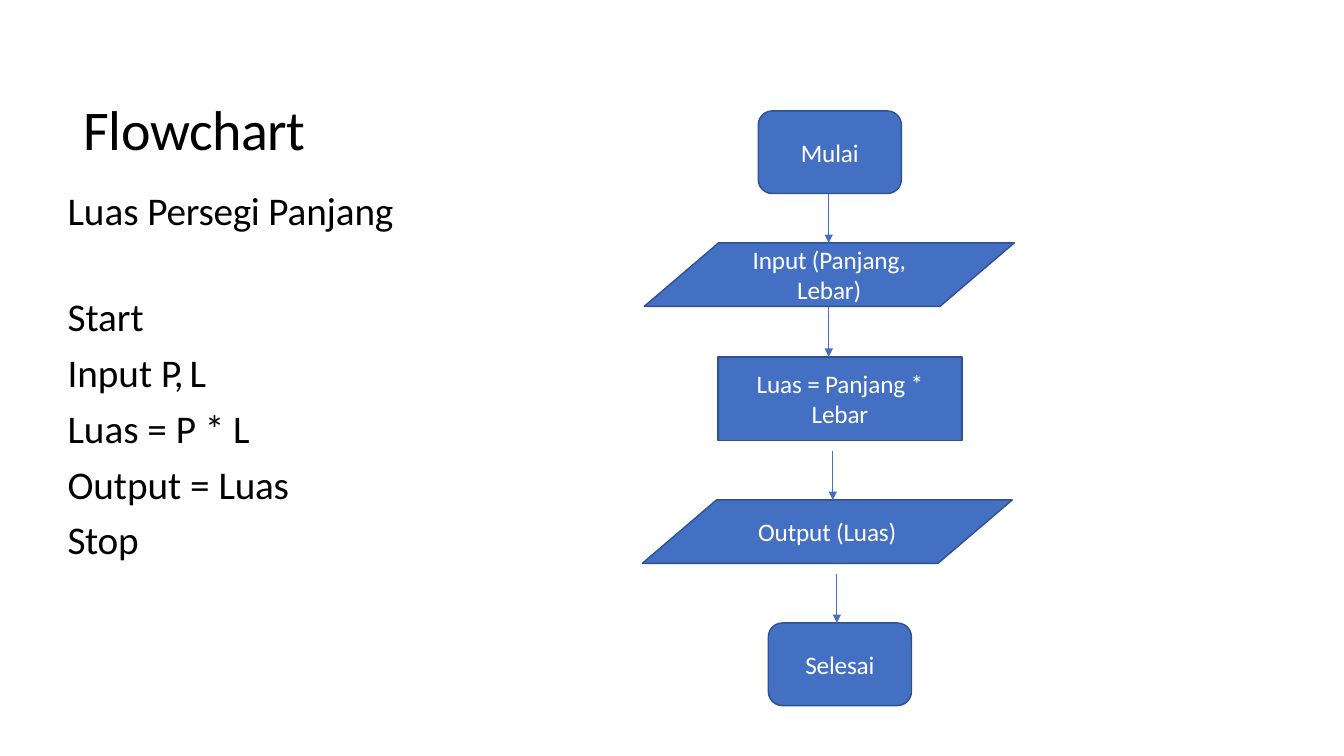
from lxml import etree
from pptx import Presentation
from pptx.dml.color import RGBColor
from pptx.enum import shapes, text
from pptx.oxml import ns
from pptx.util import Inches, Pt

FONT = "Calibri"
BLUE, OUTLINE, BLACK, WHITE = "4470C4", "2D528F", "000000", "FFFFFF"

# Each line: space before in points, then runs of (text, letter spacing in points)
TITLE = [(0, [("Flowchart", -0.3)])]
PSEUDOCODE = [
    (0, [("Luas ", 0), ("Persegi ", -0.2), ("Panjang", -0.1)]),
    (42.2, [("Start", 0)]),
    (6.2, [("Input ", 0), ("P, ", -1.9), ("L", -0.5)]),
    (6.2, [("Luas = P * ", 0), ("L", -0.5)]),
    (6.2, [("Output = ", 0), ("Luas", -0.2)]),
    (6.2, [("Stop", -0.2)]),
]

# Kind of step: preset shape, width, height, adjustment
KINDS = {
    "terminal": (shapes.MSO_SHAPE.ROUNDED_RECTANGLE, 1.42, 0.82, 0.17),
    "data": (shapes.MSO_SHAPE.PARALLELOGRAM, 3.67, 0.63, 1.17),
    "process": (shapes.MSO_SHAPE.RECTANGLE, 2.42, 0.83, None),
}
# Kind, left, top, label lines
STEPS = [
    ("terminal", 7.52, 1.1, ["Mulai"]),
    ("data", 6.39, 2.41, ["Input (Panjang,", "Lebar)"]),
    ("process", 7.12, 3.54, ["Luas = Panjang *", "Lebar"]),
    ("data", 6.37, 4.96, ["Output (Luas)"]),
    ("terminal", 7.62, 6.18, ["Selesai"]),
]
ARROW_CENTERS = [8.22, 8.22, 8.26, 8.3]  # one above each step after the first
ARROW_LENGTH = 0.49


def color(value):
    return RGBColor.from_string(value)


def add_run(paragraph, words, size, fill, spacing=0):
    run = paragraph.add_run()
    run.text = words
    run.font.name, run.font.size = FONT, Pt(size)
    run.font.color.rgb = color(fill)
    if spacing:
        run._r.get_or_add_rPr().set("spc", str(round(spacing * 100)))


def clear_margins(frame):
    frame.margin_left = frame.margin_right = 0
    frame.margin_top = frame.margin_bottom = 0


def add_text(slide, left, top, width, height, lines, size):
    box = slide.shapes.add_textbox(*map(Inches, (left, top, width, height)))
    frame = box.text_frame
    frame.word_wrap = True
    clear_margins(frame)
    for index, (space, runs) in enumerate(lines):
        paragraph = frame.paragraphs[0] if index == 0 else frame.add_paragraph()
        if space:
            paragraph.space_before = Pt(space)
        for words, spacing in runs:
            add_run(paragraph, words, size, BLACK, spacing)


def add_step(slide, kind, left, top, label):
    preset, width, height, adjustment = KINDS[kind]
    shape = slide.shapes.add_shape(preset, *map(Inches, (left, top, width, height)))
    if adjustment is not None:
        shape.adjustments[0] = adjustment
    shape.shadow.inherit = False
    shape.fill.solid()
    shape.fill.fore_color.rgb = color(BLUE)
    shape.line.color.rgb = color(OUTLINE)
    shape.line.width = Pt(1)
    frame = shape.text_frame
    frame.word_wrap = True
    frame.vertical_anchor = text.MSO_ANCHOR.MIDDLE
    clear_margins(frame)
    paragraph = frame.paragraphs[0]
    paragraph.alignment = text.PP_ALIGN.CENTER
    for index, words in enumerate(label):
        if index:
            paragraph.add_line_break()
        add_run(paragraph, words, 18, WHITE, -0.1)


def add_arrow(slide, center, bottom):
    arrow = slide.shapes.add_connector(
        shapes.MSO_CONNECTOR.STRAIGHT,
        *map(Inches, (center, bottom - ARROW_LENGTH, center, bottom)))
    arrow.line.color.rgb = color(BLUE)
    arrow.line.width = Pt(0.75)
    line = arrow.line._get_or_add_ln()
    etree.SubElement(line, ns.qn("a:tailEnd"), type="triangle")
    etree.SubElement(arrow._element.spPr, ns.qn("a:effectLst"))


def main():
    presentation = Presentation()
    presentation.slide_width, presentation.slide_height = Inches(13.33), Inches(7.5)
    slide = presentation.slides.add_slide(presentation.slide_layouts[6])

    # Title and pseudocode
    add_text(slide, 0.83, 0.94, 5.45, 0.68, TITLE, 40)
    add_text(slide, 0.67, 1.85, 3.6, 3.8, PSEUDOCODE, 28)

    # Flowchart
    for step in STEPS:
        add_step(slide, *step)
    for center, (_, _, top, _) in zip(ARROW_CENTERS, STEPS[1:]):
        add_arrow(slide, center, top)

    presentation.save("out.pptx")


if __name__ == "__main__":
    main()
